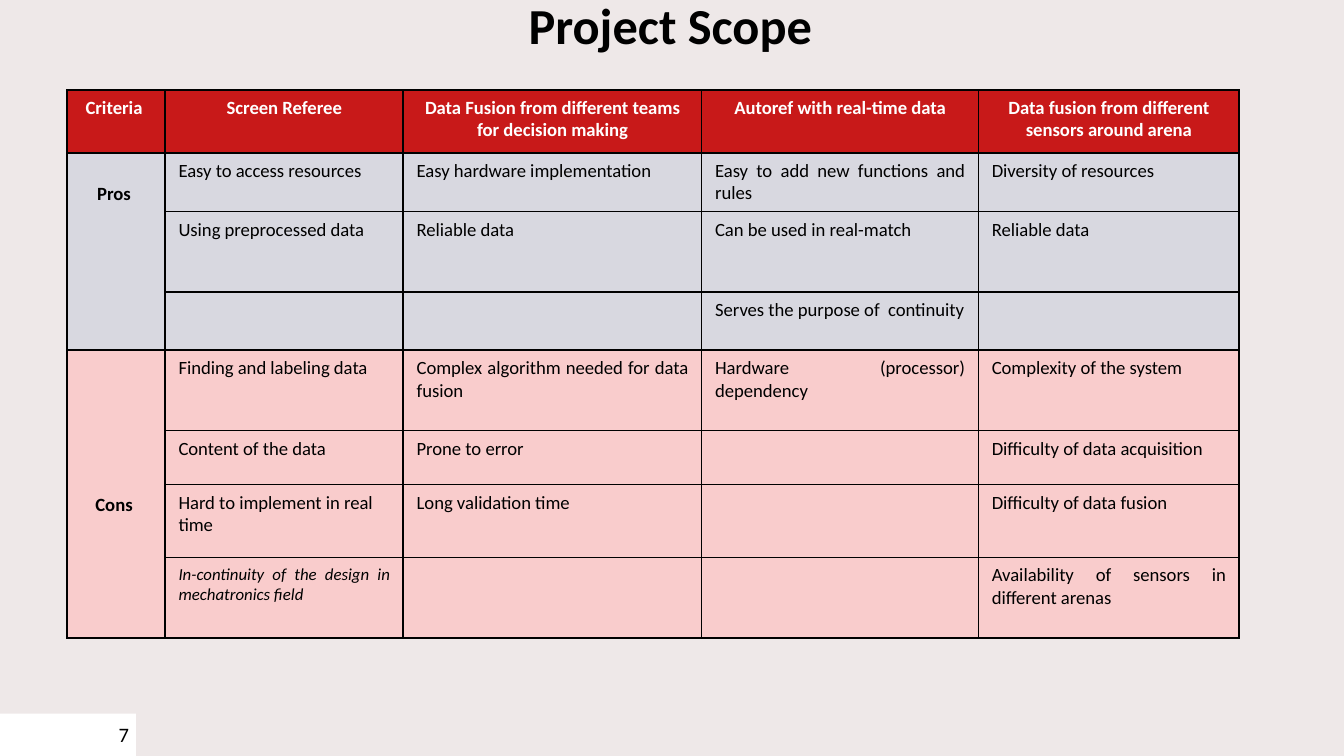
from pptx import Presentation
from pptx.dml.color import RGBColor
from pptx.enum.shapes import MSO_SHAPE
from pptx.enum.text import MSO_ANCHOR, PP_ALIGN
from pptx.oxml import parse_xml
from pptx.oxml.ns import nsdecls
from pptx.util import Cm, Pt

COLORS = {"back": "EEE8E8", "header": "C81919", "pros": "D8D8E0",
          "cons": "F9CCCC", "white": "FFFFFF", "black": "000000"}
FONT = "Calibri"
LEFT, CENTER, JUSTIFY = PP_ALIGN.LEFT, PP_ALIGN.CENTER, PP_ALIGN.JUSTIFY

COLS = [1.85, 4.5, 5.64, 5.23, 4.93]
ROWS = [1.19, 1.1, 1.52, 1.1, 1.52, 1.02, 1.38, 1.52]
HEADER = ["Criteria\u00a0", "Screen Referee",
          "Data Fusion from different teams for decision making",
          "Autoref with real-time data",
          "Data fusion from different sensors around arena"]
# Each group: label, fill, top margin of the label, rows
GROUPS = [
    ("Pros\u00a0", "pros", 0.56, [
        ["Easy to access resources", "Easy hardware implementation",
         "Easy to add new functions and rules", "Diversity of resources"],
        ["Using preprocessed data", "Reliable data",
         "Can be used in real-match", "Reliable data"],
        ["", "", "Serves the purpose of\u00a0 continuity", ""],
    ]),
    ("Cons\u00a0", "cons", 2.71, [
        ["Finding and labeling data", "Complex algorithm needed for data fusion",
         "Hardware (processor) dependency", "Complexity of the system"],
        ["Content of the data", "Prone to error", "",
         "Difficulty of data acquisition"],
        ["Hard to implement in real time", "Long validation time", "",
         "Difficulty of data fusion"],
        ["In-continuity of the design in mechatronics field", "", "",
         "Availability of sensors in different arenas"],
    ]),
]
# Formats of single cells, by row and column
JUSTIFIED = {(1, 3), (3, 3), (4, 2), (4, 3), (7, 1), (7, 4)}
SPECIAL = {(7, 1): {"size": Pt(9), "italic": True}}


def rgb(name):
    return RGBColor.from_string(COLORS[name])


def paint(fill, name):
    fill.solid()
    fill.fore_color.rgb = rgb(name)


def write(tf, text, color="black", align=LEFT, **fmt):
    p = tf.paragraphs[0]
    p.alignment = align
    r = p.add_run()
    r.text = text
    r.font.color.rgb = rgb(color)
    for key, value in {"name": FONT, **fmt}.items():
        setattr(r.font, key, value)
    return p


def set_margins(tf, left=0):
    for side in ("left", "top", "right", "bottom"):
        setattr(tf, f"margin_{side}", Cm(left if side == "left" else 0))


def add_borders(cell):
    tcPr = cell._tc.get_or_add_tcPr()
    for i, side in enumerate("LRTB"):
        tcPr.insert(i, parse_xml(
            f'<a:ln{side} {nsdecls("a")} w="12700"><a:solidFill>'
            f'<a:srgbClr val="{COLORS["black"]}"/></a:solidFill></a:ln{side}>'))


def fill_cell(cell, text, fill, **fmt):
    paint(cell.fill, fill)
    add_borders(cell)
    if text:
        write(cell.text_frame, text, **{"size": Pt(10), **fmt})
    else:
        end = cell.text_frame.paragraphs[0]._p.get_or_add_endParaRPr()
        end.set("sz", "1000")


def add_title(slide, x, y, w, h):
    tf = slide.shapes.add_textbox(Cm(x), Cm(y), Cm(w), Cm(h)).text_frame
    tf.word_wrap = True
    set_margins(tf)
    p = write(tf, "Project Scope", align=CENTER, size=Pt(27), bold=True)
    p.line_spacing = Pt(27)


def add_criteria_table(slide, x, y):
    table = slide.shapes.add_table(len(ROWS), len(COLS), Cm(x), Cm(y),
                                   Cm(sum(COLS)), Cm(sum(ROWS))).table
    for col, w in zip(table.columns, COLS):
        col.width = Cm(w)
    for row, h in zip(table.rows, ROWS):
        row.height = Cm(h)

    # Header row
    for c, text in enumerate(HEADER):
        fill_cell(table.cell(0, c), text, "header",
                  color="white", align=CENTER, bold=True)

    # Groups with a merged label on the left
    top = 1
    for label, fill, margin, lines in GROUPS:
        for r, line in enumerate(lines, top):
            fill_cell(table.cell(r, 0), label if r == top else "", fill,
                      align=CENTER, bold=True)
            for c, text in enumerate(line, 1):
                fill_cell(table.cell(r, c), text, fill, bold=False,
                          align=JUSTIFY if (r, c) in JUSTIFIED else LEFT,
                          **SPECIAL.get((r, c), {}))
        head = table.cell(top, 0)
        head.merge(table.cell(top + len(lines) - 1, 0))
        head.margin_top = Cm(margin)
        top += len(lines)


def add_page_number(slide, x, y, w, h):
    sp = slide.shapes.add_shape(MSO_SHAPE.RECTANGLE, Cm(x), Cm(y), Cm(w), Cm(h))
    sp.shadow.inherit = False
    paint(sp.fill, "white")
    sp.line.fill.background()
    tf = sp.text_frame
    tf.word_wrap = True
    tf.vertical_anchor = MSO_ANCHOR.MIDDLE
    set_margins(tf, left=2.11)
    write(tf, "7", align=CENTER, size=Pt(11))


prs = Presentation()
prs.slide_width, prs.slide_height = Cm(25.4), Cm(14.29)
slide = prs.slides.add_slide(prs.slide_layouts[6])
paint(slide.background.fill, "back")
add_criteria_table(slide, 1.27, 1.7)
add_page_number(slide, 0, 13.49, 2.57, 0.8)
add_title(slide, 2.18, 0.08, 20.98, 1.5)
prs.save("out.pptx")
